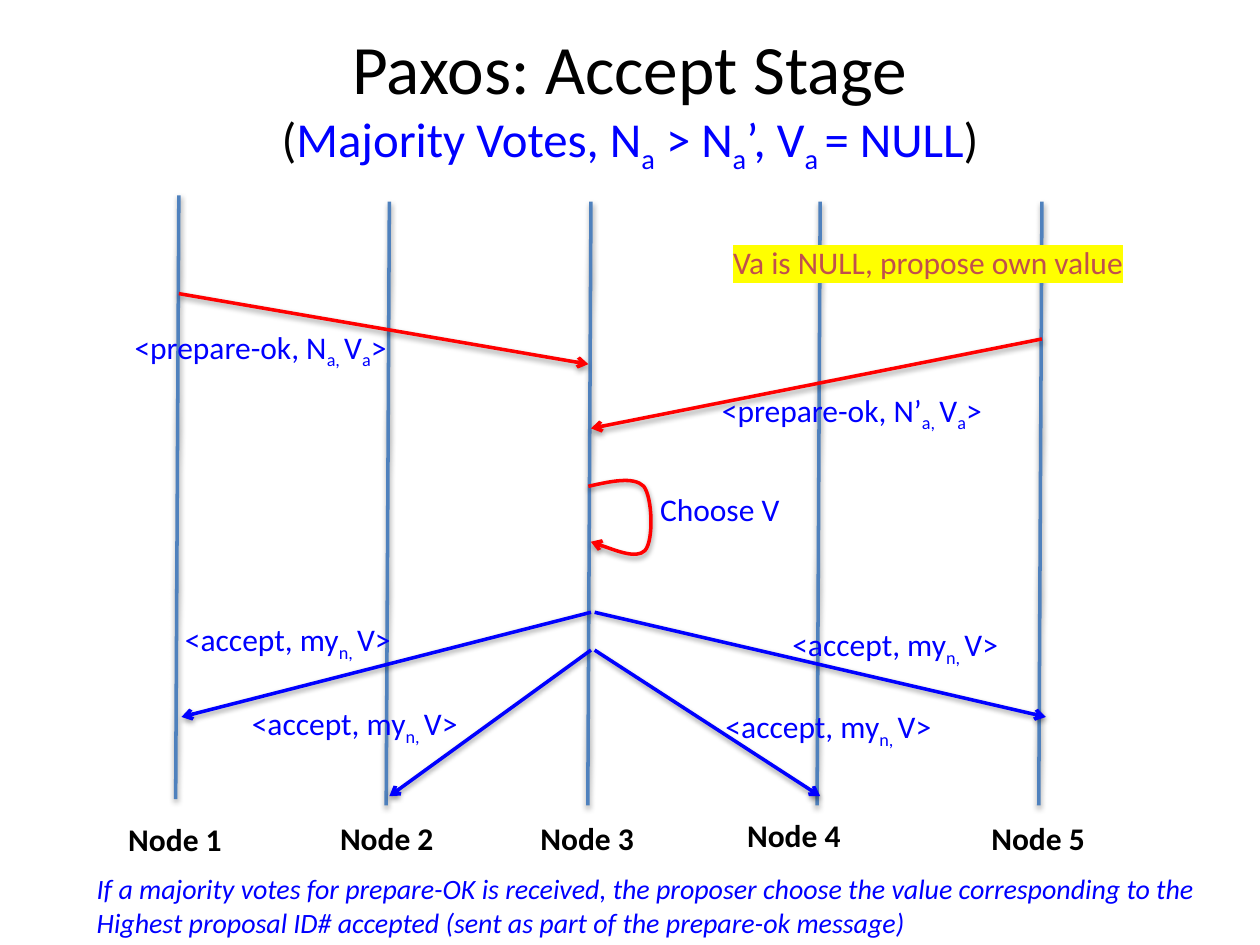
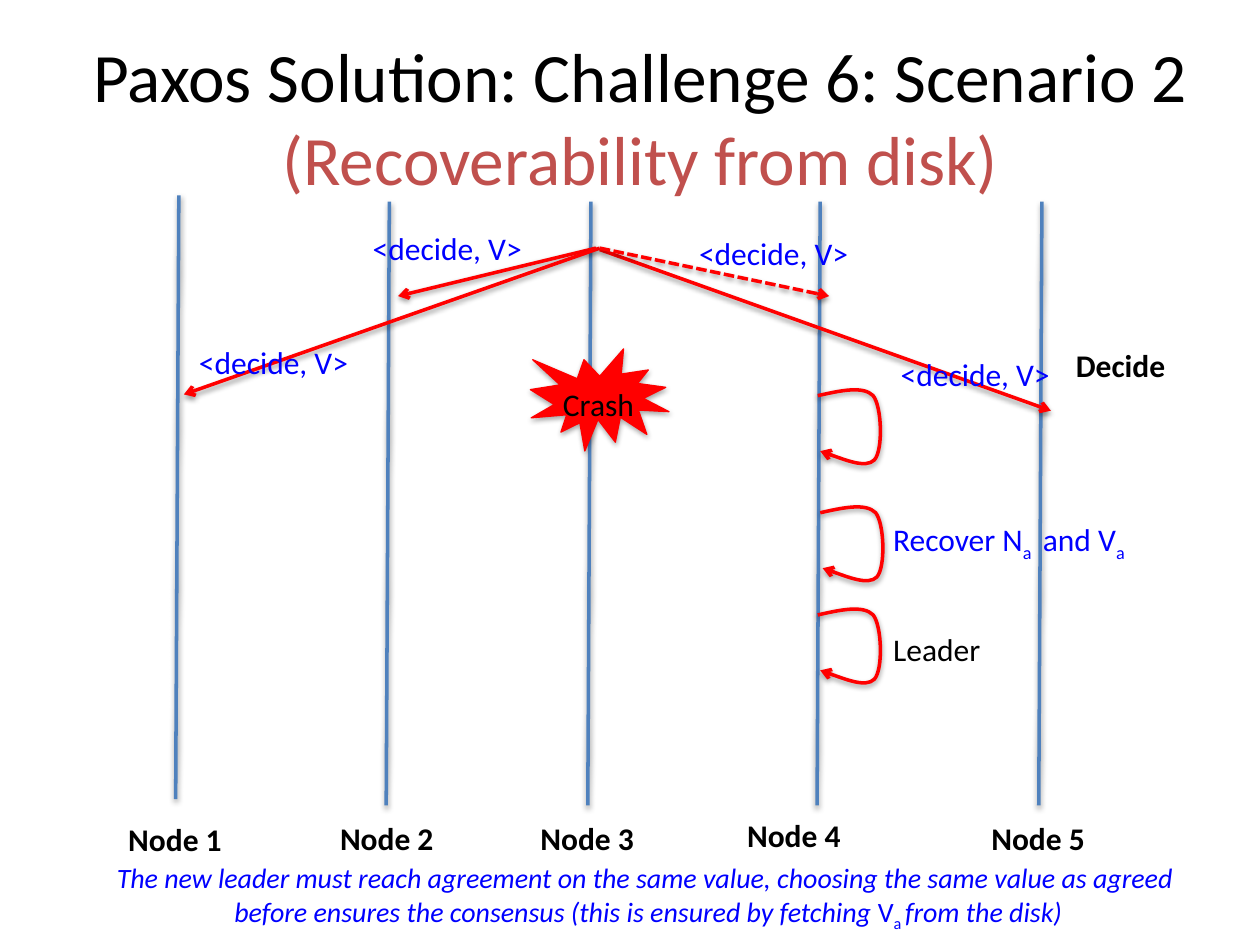
"""Build two slides of Paxos message diagrams between five nodes."""
from lxml import etree
from pptx import Presentation
from pptx.dml.color import RGBColor
from pptx.enum.dml import MSO_LINE
from pptx.enum.shapes import MSO_CONNECTOR, MSO_SHAPE
from pptx.enum.text import MSO_ANCHOR, MSO_AUTO_SIZE, PP_ALIGN
from pptx.oxml.ns import qn
from pptx.util import Pt

STRAIGHT = MSO_CONNECTOR.STRAIGHT
BURST = MSO_SHAPE.EXPLOSION1
DASH = MSO_LINE.SQUARE_DOT
LEFT, CENTER = PP_ALIGN.LEFT, PP_ALIGN.CENTER
MIDDLE = MSO_ANCHOR.MIDDLE
NO_FIT = MSO_AUTO_SIZE.NONE

FONT = "Calibri"
BLACK, BLUE, RED = "000000", "0000FF", "FF0000"
STEEL, BRICK, YELLOW = "4F81BD", "C0504D", "FFFF00"

hex_color = RGBColor.from_string


def write_lines(frame, lines, align=LEFT, bold=False, italic=False):
    """Write (text, size, colour) lines; every second part between bars is a subscript."""
    frame.auto_size = NO_FIT
    for number, (text, size, color) in enumerate(lines):
        para = frame.add_paragraph() if number else frame.paragraphs[0]
        para.alignment = align
        for index, part in enumerate(text.split("|")):
            if not part:
                continue
            span = para.add_run()
            span.text = part
            span.font.name = FONT
            span.font.size = Pt(size)
            span.font.bold = bold
            span.font.italic = italic
            span.font.color.rgb = hex_color(color)
            if index % 2:
                span.font._element.set("baseline", "-25000")


def style_outline(shape, color, width=2, arrow=False, dashed=False, opacity=38):
    """Set the line, the arrowhead and the soft shadow below."""
    shape.line.color.rgb = hex_color(color)
    shape.line.width = Pt(width)
    if dashed:
        shape.line.dash_style = DASH
    properties = shape._element.spPr
    if arrow:
        etree.SubElement(properties.find(qn("a:ln")), qn("a:tailEnd"), type="arrow")
    effects = etree.SubElement(properties, qn("a:effectLst"))
    shadow = etree.SubElement(effects, qn("a:outerShdw"), blurRad=str(Pt(3.1)),
                              dist=str(Pt(1.6)), dir="5400000", rotWithShape="0")
    tint = etree.SubElement(shadow, qn("a:srgbClr"), val=BLACK)
    etree.SubElement(tint, qn("a:alpha"), val=str(opacity * 1000))


NODES = [
    (102.2, 111.6, 66.2, 465.1),
    (222.5, 115.2, 187.2, 464.4),
    (337.7, 115.2, 301.7, 464.4),
    (468.7, 115.2, 419.8, 463),
    (595.4, 115.2, 559.4, 464.4),
]
LOOP_STEPS = [(13, -2.9), (25.9, -5.8), (31.7, 0), (36.7, 6.5), (37.4, 31),
              (32.4, 36.7), (27.4, 41.8), (1.4, 31.7), (1.4, 31.7)]
ACCEPT = "<accept, my|n, |V> "
DECIDE = "<decide, V> "

SLIDES = [
    {
        "title_at": (36, 12.2, 648, 90),
        "title": [("Paxos: Accept Stage", 39.6, BLACK),
                  ("(||Majority Votes, N|a| > N|a|\u2019, V|a |= NULL||)", 27.9, BLUE)],
        "arrows": [
            (102.2, 167.8, 336.2, 208.1, RED, False),
            (595.4, 193.7, 337.7, 244.8, RED, False),
            (337.7, 349.9, 103.7, 409.7, BLUE, False),
            (337.7, 371.5, 222.5, 455, BLUE, False),
            (339.8, 349.9, 597.6, 409.7, BLUE, False),
            (339.8, 371.5, 468.7, 455, BLUE, False),
        ],
        "loops": [(336.2, 277.9)],
        "labels": [
            (69.8, 183.6, 165, 51, "<prepare-ok, N|a, |V|a|> ", BLUE, False),
            (405.4, 219.6, 171.4, 51, "<prepare-ok, N\u2019|a, |V|a|> ", BLUE, False),
            (98.6, 350.6, 141, 51, ACCEPT, BLUE, False),
            (136.8, 398.9, 141, 51, ACCEPT, BLUE, False),
            (445.7, 353.5, 141, 51, ACCEPT, BLUE, False),
            (407.5, 400.3, 141, 51, ACCEPT, BLUE, False),
            (370.1, 276.5, 83.5, 51, "Choose V", BLUE, False),
            (411.8, 135.4, 238.3, 29, "Va is NULL, propose own value", BRICK, False),
        ],
        "note_at": (48.2, 494.6, 653.8, 46),
        "note_align": LEFT,
        "note": ["If a majority votes for prepare-OK is received, the proposer choose "
                 "the value corresponding to the ",
                 "Highest proposal ID# accepted (sent as part of the prepare-ok message)"],
    },
    {
        "title_at": (36, 21.6, 660, 90),
        "title": [("Paxos Solution: Challenge 6: Scenario 2", 39.6, BLACK),
                  ("(Recoverability from disk)", 39.6, BRICK)],
        "arrows": [
            (340.6, 141.8, 227.5, 169.2, RED, False),
            (342.7, 141.8, 105.1, 225.4, RED, False),
            (342.7, 142.6, 600.5, 234.7, RED, False),
            (342.7, 141.8, 473.8, 169.2, RED, True),
        ],
        "loops": [(467.3, 226.1), (468.7, 293), (467.3, 351.4)],
        "labels": [
            (106.6, 192.2, 100.8, 51, DECIDE, BLUE, False),
            (205.9, 127.4, 100.8, 51, DECIDE, BLUE, False),
            (392.4, 130.3, 100.8, 51, DECIDE, BLUE, False),
            (507.6, 199.4, 100.8, 51, DECIDE, BLUE, False),
            (607.7, 194.4, 66.2, 51, "Decide", BLACK, True),
            (503.3, 293.8, 154.1, 51, "Recover N|a | and V|a", BLUE, False),
            (503.3, 356.4, 65.5, 29, "Leader", BLACK, False),
            (314.6, 216.7, 56.2, 29, "Crash", BLACK, False),
        ],
        "note_at": (55.4, 488.2, 630, 46),
        "note_align": CENTER,
        "note": ["The new leader must reach agreement on the same value, choosing "
                 "the same value as agreed ",
                 "before ensures the consensus (this is ensured by fetching "
                 "||V|a |from the disk)"],
    },
]

deck = Presentation()
deck.slide_width, deck.slide_height = Pt(720), Pt(540)
titles, notes, last_labels = [], [], []

for content in SLIDES:
    page = deck.slides.add_slide(deck.slide_layouts[5])
    title = page.shapes.title
    title.left, title.top, title.width, title.height = map(Pt, content["title_at"])
    title.text_frame.vertical_anchor = MIDDLE
    write_lines(title.text_frame, content["title"], CENTER)
    titles.append(title)

    labels = []
    for number, (x, top, label_left, label_top) in enumerate(NODES, 1):
        lifeline = page.shapes.add_connector(STRAIGHT, Pt(x), Pt(top), Pt(x - 1.8), Pt(top + 345))
        style_outline(lifeline, STEEL)
        labels.append((label_left, label_top, 68.4, 29, f"Node {number}", BLACK, True))

    for x1, y1, x2, y2, color, dashed in content["arrows"]:
        message = page.shapes.add_connector(STRAIGHT, Pt(x1), Pt(y1), Pt(x2), Pt(y2))
        style_outline(message, color, arrow=True, dashed=dashed)

    for x, y in content["loops"]:
        builder = page.shapes.build_freeform(Pt(x), Pt(y))
        builder.add_line_segments([(Pt(x + dx), Pt(y + dy)) for dx, dy in LOOP_STEPS], close=False)
        loop = builder.convert_to_shape()
        loop.fill.background()
        style_outline(loop, RED, arrow=True)
        outline = loop._element.find(".//" + qn("a:path"))
        steps = outline.findall(qn("a:lnTo"))
        for first in range(0, len(steps), 3):
            curve = etree.SubElement(outline, qn("a:cubicBezTo"))
            for step in steps[first:first + 3]:
                curve.append(step[0])
                outline.remove(step)

    if content is SLIDES[1]:
        crash = page.shapes.add_shape(BURST, Pt(303.1), Pt(199.4), Pt(79.2), Pt(58.3))
        crash.fill.solid()
        crash.fill.fore_color.rgb = hex_color(RED)
        style_outline(crash, RED, width=0.75, opacity=35)

    for left, top, width, height, text, color, bold in labels + content["labels"]:
        box = page.shapes.add_textbox(Pt(left), Pt(top), Pt(width), Pt(height))
        box.text_frame.word_wrap = False
        write_lines(box.text_frame, [(text, 18, color)], bold=bold)
    last_labels.append(box)

    note = page.shapes.add_textbox(*map(Pt, content["note_at"]))
    note.text_frame.word_wrap = False
    write_lines(note.text_frame, [(text, 16, BLUE) for text in content["note"]],
                content["note_align"], italic=True)
    notes.append(note)

subtitle_spans = titles[0].text_frame.paragraphs[1].runs
for bracket in (subtitle_spans[0], subtitle_spans[-1]):
    bracket.font.color.rgb = hex_color(BLACK)

for span in notes[1].text_frame.paragraphs[1].runs[1:3]:
    span.font.italic = False

proposal = last_labels[0].text_frame.paragraphs[0].runs[0].font._element
highlight = etree.Element(qn("a:highlight"))
etree.SubElement(highlight, qn("a:srgbClr"), val=YELLOW)
proposal.find(qn("a:solidFill")).addnext(highlight)

deck.save("out.pptx")
